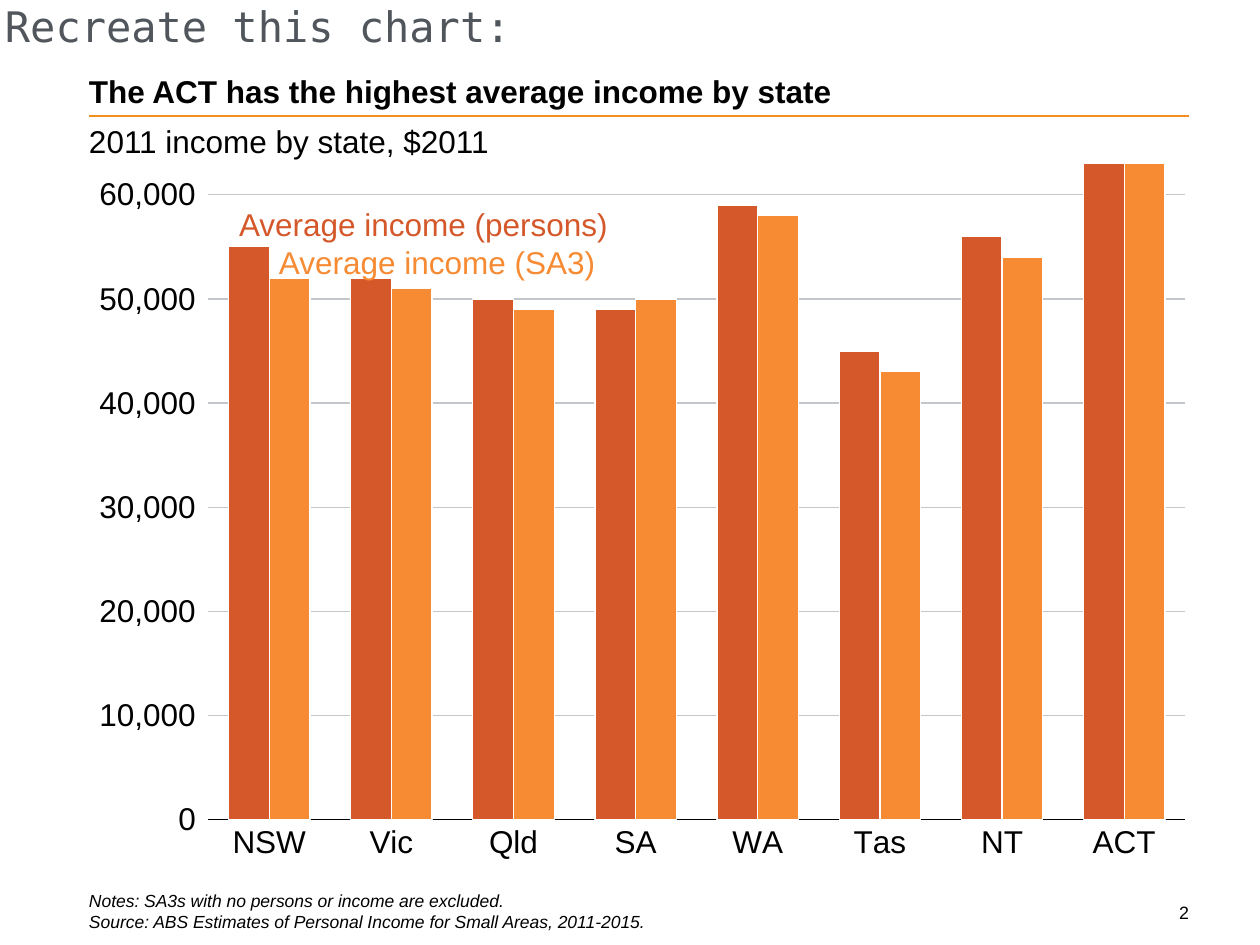
from lxml.etree import SubElement
from pptx import Presentation
from pptx.chart.data import CategoryChartData
from pptx.dml.color import RGBColor
from pptx.enum.chart import XL_CHART_TYPE, XL_TICK_MARK
from pptx.enum.shapes import MSO_CONNECTOR
from pptx.enum.text import MSO_ANCHOR, MSO_AUTO_SIZE, PP_ALIGN
from pptx.oxml.ns import qn
from pptx.util import Pt

PIXEL = 914400 / 126
BLACK = RGBColor(0x00, 0x00, 0x00)
WHITE = RGBColor(0xFF, 0xFF, 0xFF)
RUST = RGBColor(0xD4, 0x58, 0x2A)
ORANGE = RGBColor(0xF6, 0x8B, 0x33)
RULE_ORANGE = RGBColor(0xF3, 0x90, 0x1D)
GRID_GREY = RGBColor(0xC3, 0xC7, 0xCB)
SLATE = RGBColor(0x50, 0x56, 0x5C)

STATES = ["NSW", "Vic", "Qld", "SA", "WA", "Tas", "NT", "ACT"]
INCOMES = [
    ("Series 1", [55000, 52000, 50000, 49000, 59000, 45000, 56000, 63000], RUST),
    ("Series 2", [52000, 51000, 49000, 50000, 58000, 43000, 54000, 64000], ORANGE),
]


def emu(*lengths):
    """Convert pixel lengths to EMU."""
    return [round(length * PIXEL) for length in lengths]


def style_text(shape, text, size, color=BLACK, font="Arial", bold=False, italic=False,
               align=PP_ALIGN.LEFT, anchor=MSO_ANCHOR.TOP, margin=0):
    """Fill a shape with text and format its paragraphs and runs."""
    frame = shape.text_frame
    frame.text = text
    frame.word_wrap = True
    frame.auto_size = MSO_AUTO_SIZE.NONE
    frame.vertical_anchor = anchor
    frame.margin_left, frame.margin_right = emu(margin, margin)
    frame.margin_top, frame.margin_bottom = emu(margin // 2, margin // 2)
    for para in frame.paragraphs:
        para.alignment = align
        para.space_before = para.space_after = Pt(0)
        para.line_spacing = 1.0
        for span in para.runs:
            span.font.size = Pt(size)
            span.font.name = font
            span.font.bold = bold
            span.font.italic = italic
            span.font.color.rgb = color


def fill_placeholder(shape, box, text, size, **style):
    """Move a placeholder to its box and set its text."""
    shape.left, shape.top, shape.width, shape.height = emu(*box)
    style_text(shape, text, size, **style)


def add_label(page, box, text, size, **style):
    """Add a text box with styled text."""
    style_text(page.shapes.add_textbox(*emu(*box)), text, size, **style)


def add_header(page, box):
    """Place the title, the rule below it and the subtitle."""
    left, top, width, height = box
    fill_placeholder(page.shapes.title, (left, top, 880, 38),
                     "The ACT has the highest average income by state", 18,
                     bold=True, anchor=MSO_ANCHOR.BOTTOM)
    rule = page.shapes.add_connector(
        MSO_CONNECTOR.STRAIGHT, *emu(left, top + 44, left + width, top + 44))
    rule.line.color.rgb = RULE_ORANGE
    rule.line.width = Pt(1.5)
    SubElement(rule.element.spPr, qn("a:effectLst"))
    fill_placeholder(page.placeholders[1], (left, top + height - 39, width, 39),
                     "2011 income by state, $2011", 18)


def fix_plot_area(chart, fractions):
    """Pin the inner plot area to fractions of the chart box."""
    plot_area = chart.element.chart.plotArea
    for old in plot_area.findall(qn("c:layout")):
        plot_area.remove(old)
    layout = plot_area.makeelement(qn("c:layout"), {})
    plot_area.insert(0, layout)
    manual = SubElement(layout, qn("c:manualLayout"))
    settings = [("layoutTarget", "inner"), ("xMode", "edge"), ("yMode", "edge")]
    for name, value in settings + list(zip("xywh", fractions)):
        SubElement(manual, qn(f"c:{name}"), val=str(value))


def add_income_chart(page, box):
    """Place the clustered columns and the two series labels."""
    left, top, width, height = box
    data = CategoryChartData(number_format="#,##0")
    data.categories = STATES
    for name, values, color in INCOMES:
        data.add_series(name, values)
    chart = page.shapes.add_chart(
        XL_CHART_TYPE.COLUMN_CLUSTERED, *emu(*box), data).chart
    chart.has_title = False
    chart.has_legend = False
    chart.font.size = Pt(18)
    chart.font.name = "Arial"
    chart.font.color.rgb = BLACK
    fix_plot_area(chart, (0.116, 0.02, 0.864, 0.904))

    plot = chart.plots[0]
    plot.gap_width = 100
    plot.overlap = 0
    plot.vary_by_categories = False
    for series, (name, values, color) in zip(plot.series, INCOMES):
        series.format.fill.solid()
        series.format.fill.fore_color.rgb = color
        series.format.line.color.rgb = WHITE
        series.format.line.width = Pt(0.75)

    states = chart.category_axis
    states.major_tick_mark = XL_TICK_MARK.NONE
    states.format.line.color.rgb = BLACK
    states.format.line.width = Pt(0.75)
    dollars = chart.value_axis
    dollars.minimum_scale = 0
    dollars.maximum_scale = 63000
    dollars.major_unit = 10000
    dollars.major_tick_mark = XL_TICK_MARK.OUTSIDE
    dollars.tick_labels.number_format = "#,##0"
    dollars.tick_labels.number_format_is_linked = False
    dollars.format.line.fill.background()
    dollars.major_gridlines.format.line.color.rgb = GRID_GREY
    dollars.major_gridlines.format.line.width = Pt(0.75)

    add_label(page, (left + 142, top + 50, 432, 50), " Average income (persons)", 18,
              color=RUST, margin=13)
    add_label(page, (left + 189, top + 88, 379, 50), "Average income (SA3)", 18,
              color=ORANGE, margin=13)


def add_footer(page, box):
    """Place the notes and the page number."""
    left, top, width, height = box
    fill_placeholder(page.placeholders[3], (left, top, 1058, height),
                     "Notes: SA3s with no persons or income are excluded.\n"
                     "Source: ABS Estimates of Personal Income for Small Areas, 2011-2015.",
                     10, italic=True)
    add_label(page, (left + width - 21, top + 12, 21, 22), "2", 10.2,
              align=PP_ALIGN.RIGHT)


def main():
    """Build the slide and save the deck."""
    deck = Presentation()
    deck.slide_width, deck.slide_height = emu(1260, 945)
    page = deck.slides.add_slide(deck.slide_layouts[4])
    for index in (2, 4):
        unused = page.placeholders[index].element
        unused.getparent().remove(unused)
    add_header(page, (89, 72, 1100, 89))
    add_footer(page, (89, 890, 1100, 43))
    add_income_chart(page, (77, 149, 1131, 726))
    add_label(page, (-8, -5, 568, 63), "Recreate this chart:", 24, color=SLATE,
              font="DejaVu Sans Mono", margin=13)
    deck.save("out.pptx")


if __name__ == "__main__":
    main()
